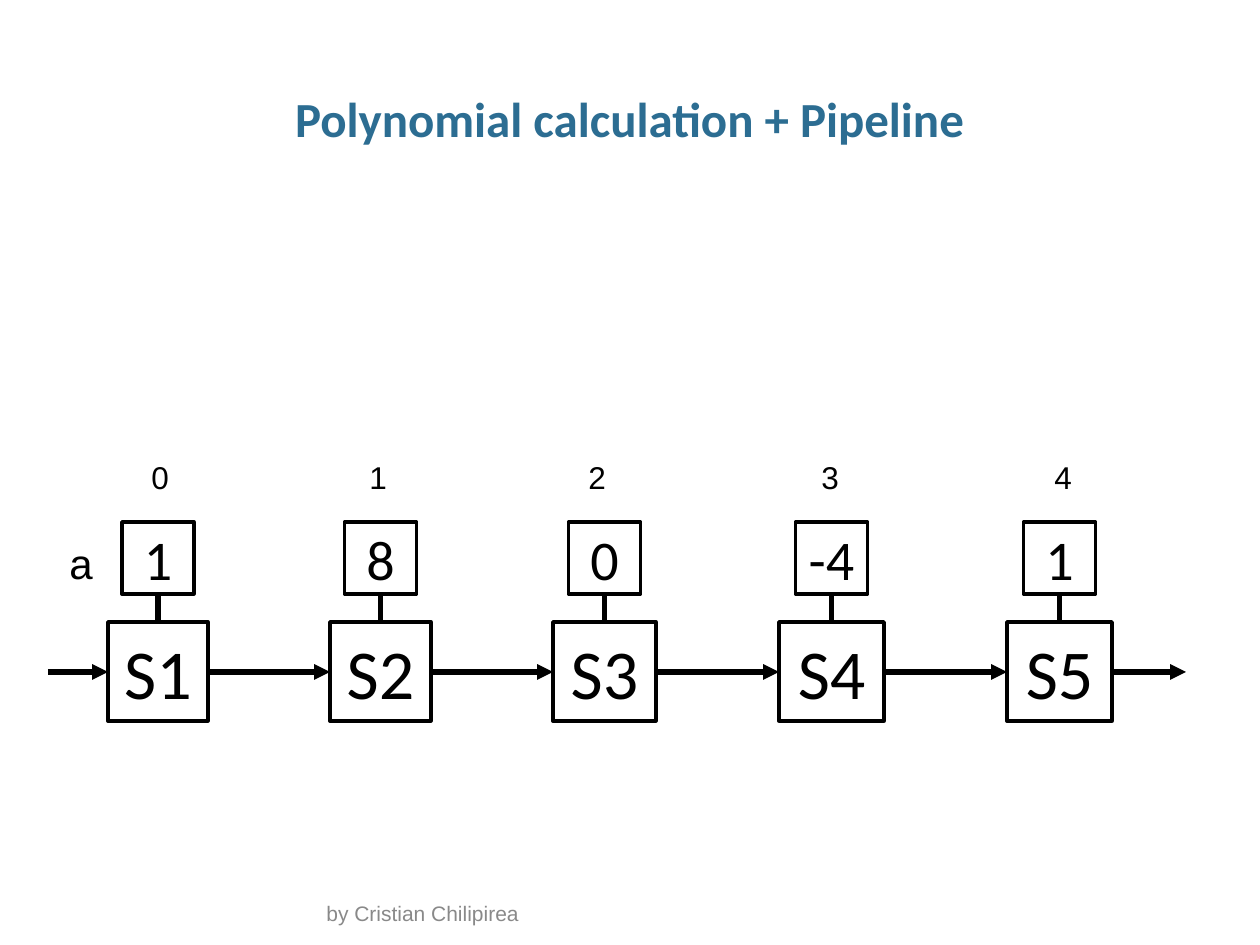
"""Build the slide that shows polynomial calculation as a five-stage pipeline."""
from lxml import etree
from pptx import Presentation
from pptx import util as u
from pptx.dml.color import RGBColor
from pptx.enum import shapes, text
from pptx.oxml.ns import qn

SCALE = 914400 / 126
COLORS = {"title": "2C6D92", "ink": "000000", "paper": "FFFFFF", "footer": "898989"}


def write(shape, content, box=None, size=18, font="Arial", color="ink", bold=False,
          align=text.PP_ALIGN.LEFT, anchor=text.MSO_ANCHOR.TOP, wrap=False, outlined=False):
    if box:
        shape.left, shape.top, shape.width, shape.height = [round(n * SCALE) for n in box]
    if outlined:
        shape.shadow.inherit = False
        shape.fill.background()
        shape.line.color.rgb = RGBColor.from_string(COLORS["ink"])
        shape.line.width = u.Pt(2)
    frame = shape.text_frame
    frame.word_wrap = wrap
    frame.vertical_anchor = anchor
    frame.text = content
    paragraph = frame.paragraphs[0]
    paragraph.alignment = align
    paragraph.font.size = u.Pt(size)
    paragraph.font.name = font
    paragraph.font.bold = bold
    paragraph.font.color.rgb = RGBColor.from_string(COLORS[color])
    return frame


def connect(slide, start, end, arrow=False):
    points = [round(n * SCALE) for n in (*start, *end)]
    line = slide.shapes.add_connector(shapes.MSO_CONNECTOR.STRAIGHT, *points)
    line.line.color.rgb = RGBColor.from_string(COLORS["ink"])
    line.line.width = u.Pt(3)
    if arrow:
        etree.SubElement(line.line._get_or_add_ln(), qn("a:tailEnd"), type="triangle")
    etree.SubElement(line._element.spPr, qn("a:effectLst"))


presentation = Presentation()
presentation.slide_width = u.Inches(10)
presentation.slide_height = u.Inches(7.5)
slide = presentation.slides.add_slide(presentation.slide_layouts[5])
slide.background.fill.solid()
slide.background.fill.fore_color.rgb = RGBColor.from_string(COLORS["paper"])

title = write(slide.shapes.title, "Polynomial calculation + Pipeline", (43, 86, 1173, 63),
              size=28, font="Calibri", color="title", bold=True,
              align=text.PP_ALIGN.CENTER, wrap=True)
title.margin_left = title.margin_right = 0
title.margin_top = title.margin_bottom = u.Inches(0.05)
title.paragraphs[0].line_spacing = 0.95

write(slide.shapes.add_textbox(0, 0, 0, 0), "by Cristian Chilipirea", (314, 902, 633, 30),
      size=12, color="footer", anchor=text.MSO_ANCHOR.BOTTOM, wrap=True)
write(slide.shapes.add_textbox(0, 0, 0, 0), "a", (57, 531, 49, 63), size=24)

stages = [(108, 100, 139, "1"), (330, 101, 357, "8"), (553, 103, 576, "0"),
          (779, 105, 809, "-4"), (1007, 105, 1042, "1")]
stage_top, stage_height = 622, 99
coefficient_top, coefficient_size = 522, 72
flow_y = 672
flow_start = 48

for index, (left, width, index_left, coefficient) in enumerate(stages):
    center = left + width / 2
    boxes = [
        (f"S{index + 1}", (left, stage_top, width, stage_height), 40),
        (coefficient, (center - coefficient_size / 2, coefficient_top,
                       coefficient_size, coefficient_size), 32),
    ]
    for content, box, size in boxes:
        rectangle = slide.shapes.add_shape(shapes.MSO_SHAPE.RECTANGLE, 0, 0, 0, 0)
        write(rectangle, content, box, size=size, font="Calibri", outlined=True,
              align=text.PP_ALIGN.CENTER, anchor=text.MSO_ANCHOR.MIDDLE)
    write(slide.shapes.add_textbox(0, 0, 0, 0), str(index), (index_left, 452, 43, 50))
    connect(slide, (center, stage_top), (center, coefficient_top + coefficient_size))
    connect(slide, (flow_start, flow_y), (left, flow_y), arrow=True)
    flow_start = left + width

connect(slide, (flow_start, flow_y), (1186, flow_y), arrow=True)

presentation.save("out.pptx")
